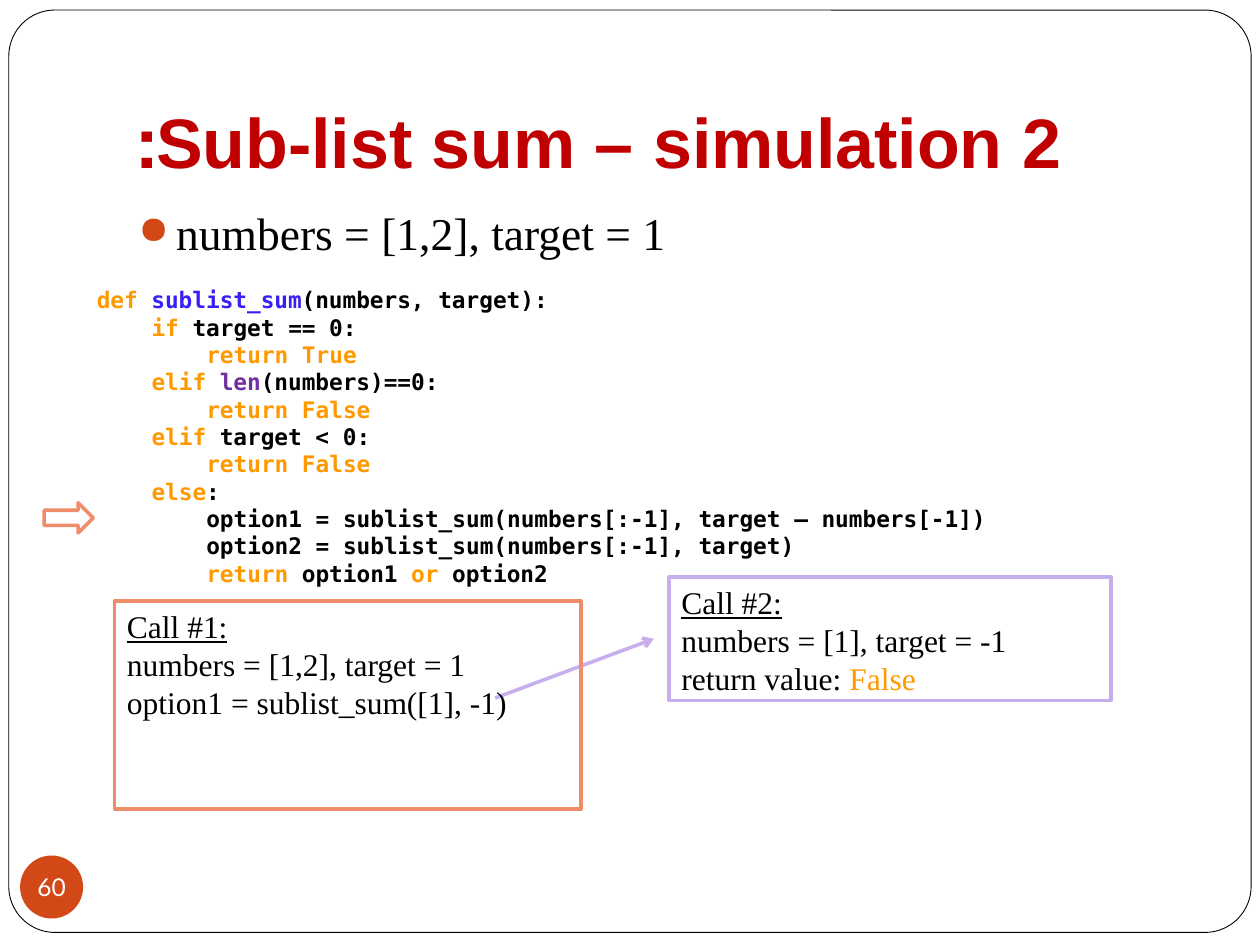
from dataclasses import dataclass

from lxml.etree import SubElement
from pptx import Presentation
from pptx.dml.color import RGBColor
from pptx.enum.shapes import MSO_CONNECTOR as Connector, MSO_SHAPE as Shape
from pptx.enum.text import MSO_ANCHOR as Anchor, MSO_AUTO_SIZE as AutoSize, PP_ALIGN as Align
from pptx.oxml.ns import qn
from pptx.util import Inches, Pt


@dataclass(frozen=True)
class Theme:
    # Colours
    ink: str = "000000"
    paper: str = "FFFFFF"
    title: str = "C00000"
    accent: str = "D34817"
    keyword: str = "FF9900"
    function: str = "381FF5"
    builtin: str = "7030A0"
    first_call: str = "EF8C6A"
    second_call: str = "C7AFED"
    # Fonts and sizes in points
    title_font: str = "Arial"
    body_font: str = "Times New Roman"
    code_font: str = "DejaVu Sans Mono"
    number_font: str = "Lato"
    title_size: float = 40
    bullet_size: float = 26
    call_size: float = 18
    number_size: float = 14
    code_size: float = 13
    code_indent: float = 31.3  # four code characters


THEME = Theme()

# Each code line: indent level, then (text, colour) pieces
RETURN_FALSE = (2, [("return False", THEME.keyword)])
CODE = [
    (0, [("def ", THEME.keyword), ("sublist_sum", THEME.function),
         ("(numbers, target):", THEME.ink)]),
    (1, [("if", THEME.keyword), (" target == 0:", THEME.ink)]),
    (2, [("return True", THEME.keyword)]),
    (1, [("elif ", THEME.keyword), ("len", THEME.builtin), ("(numbers)==0:", THEME.ink)]),
    RETURN_FALSE,
    (1, [("elif ", THEME.keyword), ("target < 0:", THEME.ink)]),
    RETURN_FALSE,
    (1, [("else", THEME.keyword), (":", THEME.ink)]),
    (2, [("option1 = sublist_sum(numbers[:-1], target – numbers[-1])", THEME.ink)]),
    (2, [("option2 = sublist_sum(numbers[:-1], target)", THEME.ink)]),
    (2, [("return", THEME.keyword), (" option1 ", THEME.ink),
         ("or", THEME.keyword), (" option2", THEME.ink)]),
]

FIRST_CALL = [
    [("numbers = [1,2], target = 1", THEME.ink)],
    [("option1 = sublist_sum([1], -1)", THEME.ink)],
]
SECOND_CALL = [
    [("numbers = [1], target = -1", THEME.ink)],
    [("return value: ", THEME.ink), ("False", THEME.keyword)],
]


def inches(box):
    return [Inches(length) for length in box]


def style(run, font, size, colour, bold=False, underline=False):
    run.font.name = font
    run.font.size = Pt(size)
    run.font.color.rgb = RGBColor.from_string(colour)
    run.font.bold = bold
    run.font.underline = underline


def write_lines(frame, lines, font, size, bold=False):
    """Fill the frame with one paragraph for each list of (text, colour) pieces."""
    frame.text = "\n".join("" for _ in lines)
    for paragraph, pieces in zip(frame.paragraphs, lines):
        paragraph.alignment = Align.LEFT
        for text, colour in pieces:
            run = paragraph.add_run()
            run.text = text
            style(run, font, size, colour, bold)


def add_outline(slide, box, preset, fill=None, line=None, width=2):
    shape = slide.shapes.add_shape(preset, *inches(box))
    shape.shadow.inherit = False
    if fill:
        shape.fill.solid()
        shape.fill.fore_color.rgb = RGBColor.from_string(fill)
    else:
        shape.fill.background()
    if line:
        shape.line.color.rgb = RGBColor.from_string(line)
        shape.line.width = Pt(width)
    else:
        shape.line.fill.background()
    return shape


def add_frame(slide, box):
    border = add_outline(slide, box, Shape.ROUNDED_RECTANGLE, THEME.paper, THEME.ink, 0.5)
    border.adjustments[0] = 0.05
    # Send behind the title
    slide.shapes.title.element.addprevious(border.element)


def place_title(slide, box):
    title = slide.shapes.title
    title.left, title.top, title.width, title.height = inches(box)
    frame = title.text_frame
    frame.text = "Sub-list sum – simulation 2:"
    frame.auto_size = AutoSize.NONE
    frame.vertical_anchor = Anchor.BOTTOM
    frame.margin_bottom = Inches(0.1)
    heading = frame.paragraphs[0]
    heading.alignment = Align.LEFT
    heading._p.get_or_add_pPr().set("rtl", "1")
    style(heading.runs[0], THEME.title_font, THEME.title_size, THEME.title, bold=True)


def add_example(slide, box):
    frame = slide.shapes.add_textbox(*inches(box)).text_frame
    frame.word_wrap = True
    write_lines(frame, [[("numbers = [1,2], target = 1", THEME.ink)]],
                THEME.body_font, THEME.bullet_size)
    example = frame.paragraphs[0]
    example.space_before = Pt(5.8)
    # Coloured round bullet with a hanging indent
    props = example._p.get_or_add_pPr()
    props.set("marL", str(Inches(0.3)))
    props.set("indent", str(Inches(-0.3)))
    SubElement(SubElement(props, qn("a:buClr")), qn("a:srgbClr"), val=THEME.accent)
    SubElement(props, qn("a:buSzPct"), val="85000")
    SubElement(props, qn("a:buChar"), char="●")


def add_code(slide, box):
    frame = slide.shapes.add_textbox(*inches(box)).text_frame
    frame.word_wrap = True
    write_lines(frame, [pieces for _, pieces in CODE],
                THEME.code_font, THEME.code_size, bold=True)
    for paragraph, (level, _) in zip(frame.paragraphs, CODE):
        paragraph._p.get_or_add_pPr().set("marL", str(Pt(level * THEME.code_indent)))


def add_call(slide, box, heading, lines, colour):
    frame = add_outline(slide, box, Shape.RECTANGLE, line=colour).text_frame
    frame.word_wrap = True
    frame.vertical_anchor = Anchor.TOP
    write_lines(frame, [[(heading, THEME.ink)], *lines], THEME.body_font, THEME.call_size)
    frame.paragraphs[0].runs[0].font.underline = True


def add_call_arrow(slide, start, end):
    arrow = slide.shapes.add_connector(Connector.STRAIGHT, *inches(start), *inches(end))
    arrow.line.color.rgb = RGBColor.from_string(THEME.second_call)
    arrow.line.width = Pt(2)
    SubElement(arrow.line._get_or_add_ln(), qn("a:tailEnd"), type="arrow")
    SubElement(arrow.element.spPr, qn("a:effectLst"))


def add_slide_number(slide, box):
    frame = add_outline(slide, box, Shape.OVAL, THEME.accent).text_frame
    frame.margin_left = frame.margin_right = frame.margin_top = frame.margin_bottom = 0
    frame.word_wrap = False
    frame.vertical_anchor = Anchor.MIDDLE
    frame.text = "60"
    number = frame.paragraphs[0]
    number.alignment = Align.CENTER
    style(number.runs[0], THEME.number_font, THEME.number_size, THEME.paper)


def build_simulation(slide):
    add_frame(slide, (0.07, 0.08, 9.86, 7.32))
    place_title(slide, (1, 0.3, 8.5, 1.25))
    add_slide_number(slide, (0.16, 6.79, 0.5, 0.5))
    add_example(slide, (1, 1.58, 8.5, 0.6))
    # Marker of the current code line
    add_outline(slide, (0.35, 3.99, 0.39, 0.24), Shape.RIGHT_ARROW, line=THEME.first_call)
    add_call(slide, (5.31, 4.58, 3.51, 0.98), "Call #2:", SECOND_CALL, THEME.second_call)
    add_call_arrow(slide, (3.93, 5.54), (5.19, 5.07))
    add_call(slide, (0.91, 4.77, 3.7, 1.65), "Call #1:", FIRST_CALL, THEME.first_call)
    add_code(slide, (0.67, 2.22, 7.4, 2.51))


def main():
    deck = Presentation()
    deck.slide_width, deck.slide_height = Inches(10), Inches(7.5)
    title_only = deck.slide_layouts[5]
    build_simulation(deck.slides.add_slide(title_only))
    deck.save("out.pptx")


if __name__ == "__main__":
    main()
